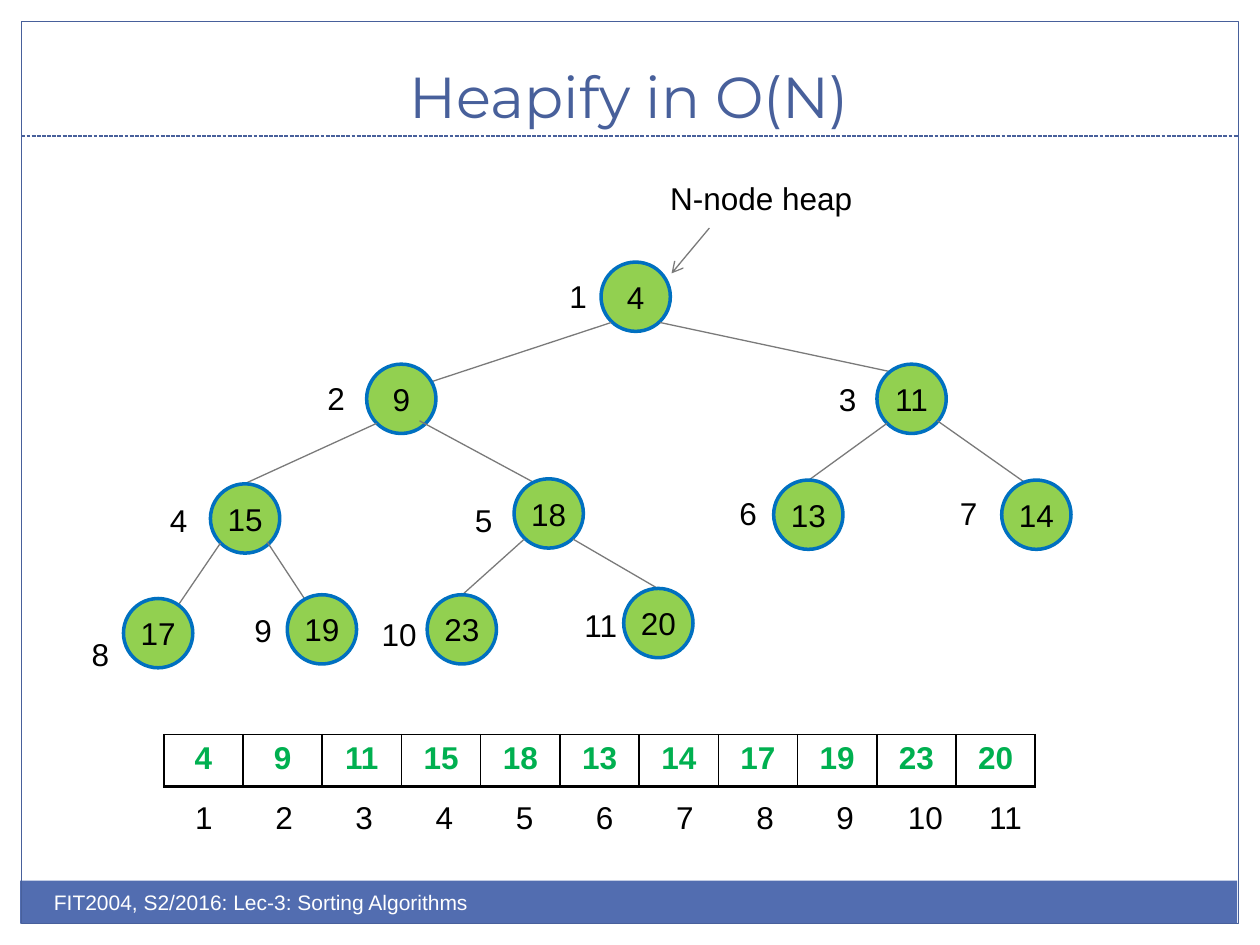
"""Build a slide that shows a heap as a tree and as an array."""
from lxml import etree
from pptx import Presentation
from pptx.dml.color import RGBColor
from pptx.enum.dml import MSO_LINE
from pptx.enum.shapes import MSO_CONNECTOR, MSO_SHAPE
from pptx.enum.text import MSO_ANCHOR, MSO_AUTO_SIZE, PP_ALIGN
from pptx.oxml.ns import qn
from pptx.util import Inches, Pt

LEFT, CENTER = PP_ALIGN.LEFT, PP_ALIGN.CENTER
TOP, MIDDLE, BOTTOM = MSO_ANCHOR.TOP, MSO_ANCHOR.MIDDLE, MSO_ANCHOR.BOTTOM
RECT, OVAL = MSO_SHAPE.RECTANGLE, MSO_SHAPE.OVAL
STRAIGHT, DASH = MSO_CONNECTOR.STRAIGHT, MSO_LINE.SQUARE_DOT
FIXED = MSO_AUTO_SIZE.NONE
HEX = {"frame": "48609B", "bar": "526DB0", "node": "92D050", "ring": "0070C0",
       "edge": "7A7A7A", "value": "00B050", "ink": "000000", "paper": "FFFFFF"}
COLOR = {name: RGBColor.from_string(code) for name, code in HEX.items()}
SIZE = 0.55

deck = Presentation()
deck.slide_width, deck.slide_height = Inches(10), Inches(7.5)
slide = deck.slides.add_slide(deck.slide_layouts[5])
shapes = slide.shapes


def write(frame, text, size=18, color="ink", font="Arial", bold=False, align=LEFT):
    para = frame.paragraphs[0]
    para.text = text
    para.alignment = align
    para.font.size, para.font.name, para.font.bold = Pt(size), font, bold
    para.font.color.rgb = COLOR[color]


def link(start, end, color="edge"):
    line = shapes.add_connector(STRAIGHT, *map(Inches, start + end))
    line.line.color.rgb = COLOR[color]
    line.line.width = Pt(0.75)
    etree.SubElement(line.line._get_or_add_ln().getparent(), qn("a:effectLst"))
    return line


bar = shapes.add_shape(RECT, Inches(0.16), Inches(6.99), Inches(9.66), Inches(0.34))
bar.shadow.inherit = False
bar.fill.solid()
bar.fill.fore_color.rgb = COLOR["bar"]
bar.line.fill.background()

border = shapes.add_shape(RECT, Inches(0.17), Inches(0.17), Inches(9.66), Inches(7.16))
border.shadow.inherit = False
border.fill.background()
border.line.color.rgb = COLOR["frame"]
border.line.width = Pt(0.75)

link((0.17, 1.08), (9.83, 1.08), "frame").line.dash_style = DASH

title = shapes.title
title.left, title.top, title.width, title.height = map(Inches, (0.33, 0.25, 9.33, 0.83))
title.text_frame.auto_size = FIXED
title.text_frame.vertical_anchor = BOTTOM
write(title.text_frame, "Heapify in O(N)", size=33, color="frame", font="Montserrat", align=CENTER)

foot = shapes.add_textbox(Inches(0.33), Inches(7.01), Inches(5), Inches(0.4))
foot.text_frame.word_wrap = True
write(foot.text_frame, "FIT2004, S2/2016: Lec-3: Sorting Algorithms", size=12, color="paper")

nodes = [
    (4, 4.77, 2.08), (9, 2.91, 2.89), (11, 6.96, 2.89), (15, 1.67, 3.84),
    (18, 4.08, 3.8), (13, 6.14, 3.81), (14, 7.95, 3.81), (17, 0.98, 4.75),
    (19, 2.28, 4.72), (23, 3.39, 4.72), (20, 4.95, 4.67),
]
edges = {
    1: [((4.85, 2.56), (3.18, 3.11)), ((5.24, 2.56), (7.16, 2.97))],
    2: [((2.99, 3.36), (1.94, 3.84)), ((3.33, 3.34), (4.35, 3.89))],
    3: [((7.04, 3.36), (6.42, 3.81)), ((7.44, 3.34), (8.22, 3.89))],
    4: [((1.75, 4.31), (1.26, 5.03)), ((2.12, 4.3), (2.56, 4.97))],
    5: [((4.16, 4.28), (3.67, 4.72)), ((4.55, 4.28), (5.22, 4.67))],
}
for index, (value, left, top) in enumerate(nodes, 1):
    node = shapes.add_shape(OVAL, Inches(left), Inches(top), Inches(SIZE), Inches(SIZE))
    node.shadow.inherit = False
    node.fill.solid()
    node.fill.fore_color.rgb = COLOR["node"]
    node.line.color.rgb = COLOR["ring"]
    node.line.width = Pt(2)
    frame = node.text_frame
    frame.margin_left = frame.margin_right = frame.margin_top = frame.margin_bottom = 0
    frame.word_wrap = False
    frame.vertical_anchor = MIDDLE
    write(frame, str(value), align=CENTER)
    for start, end in edges.get(index, []):
        link(start, end)

values = [str(value) for value, left, top in nodes]
ranks = [str(index) for index in range(1, len(nodes) + 1)]
rows = [
    (values, 5.83, 6.92, {"color": "value", "bold": True}, {"L": 1, "R": 1, "T": 1, "B": 2}),
    (ranks, 6.31, 7, {}, {}),
]
for texts, top, width, style, sides in rows:
    table = shapes.add_table(1, len(texts), Inches(1.3), Inches(top), Inches(width), Inches(0.41)).table
    table.first_row = table.horz_banding = False
    for text, cell in zip(texts, table.iter_cells()):
        write(cell.text_frame, text, align=CENTER, **style)
        props = cell._tc.get_or_add_tcPr()
        for side, weight in sides.items():
            line = etree.SubElement(props, qn(f"a:ln{side}"), w=str(Pt(weight)))
            fill = etree.SubElement(line, qn("a:solidFill"))
            etree.SubElement(fill, qn("a:srgbClr"), val=HEX["ink"])
        cell.fill.background()

spots = [(4.42, 2.15), (2.5, 2.96), (6.56, 2.97), (1.25, 3.93), (3.67, 3.93), (5.77, 3.87),
         (7.52, 3.87), (0.63, 4.99), (1.92, 4.8), (2.93, 4.83), (4.54, 4.76)]
labels = [(rank, *spot, 0.34 if len(rank) == 1 else 0.48) for rank, spot in zip(ranks, spots)]
labels.append(("N-node heap", 5.22, 1.37, 1.66))
for text, left, top, width in labels:
    box = shapes.add_textbox(Inches(left), Inches(top), Inches(width), Inches(0.4))
    box.text_frame.word_wrap = False
    box.text_frame.vertical_anchor = TOP
    write(box.text_frame, text)

arrow = link((5.63, 1.81), (5.33, 2.17))
etree.SubElement(arrow.line._get_or_add_ln(), qn("a:tailEnd"), type="arrow")

deck.save("out.pptx")
